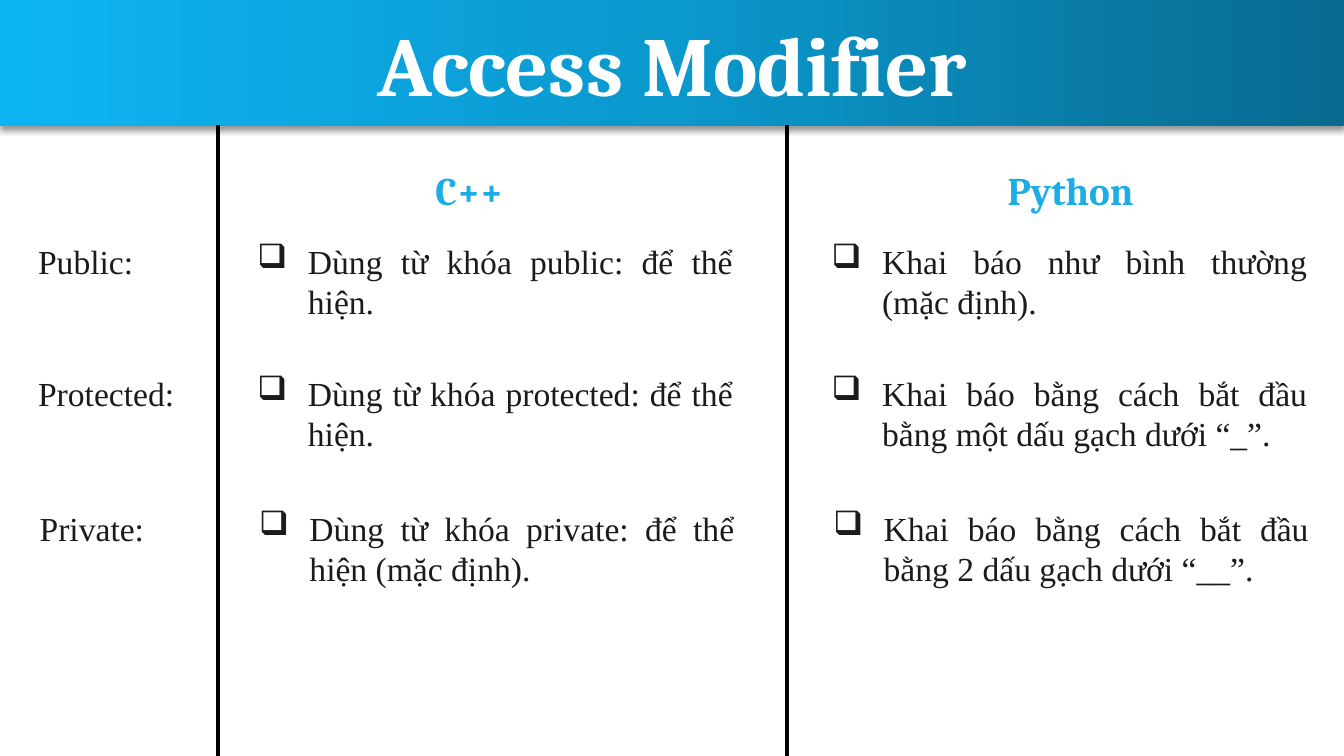
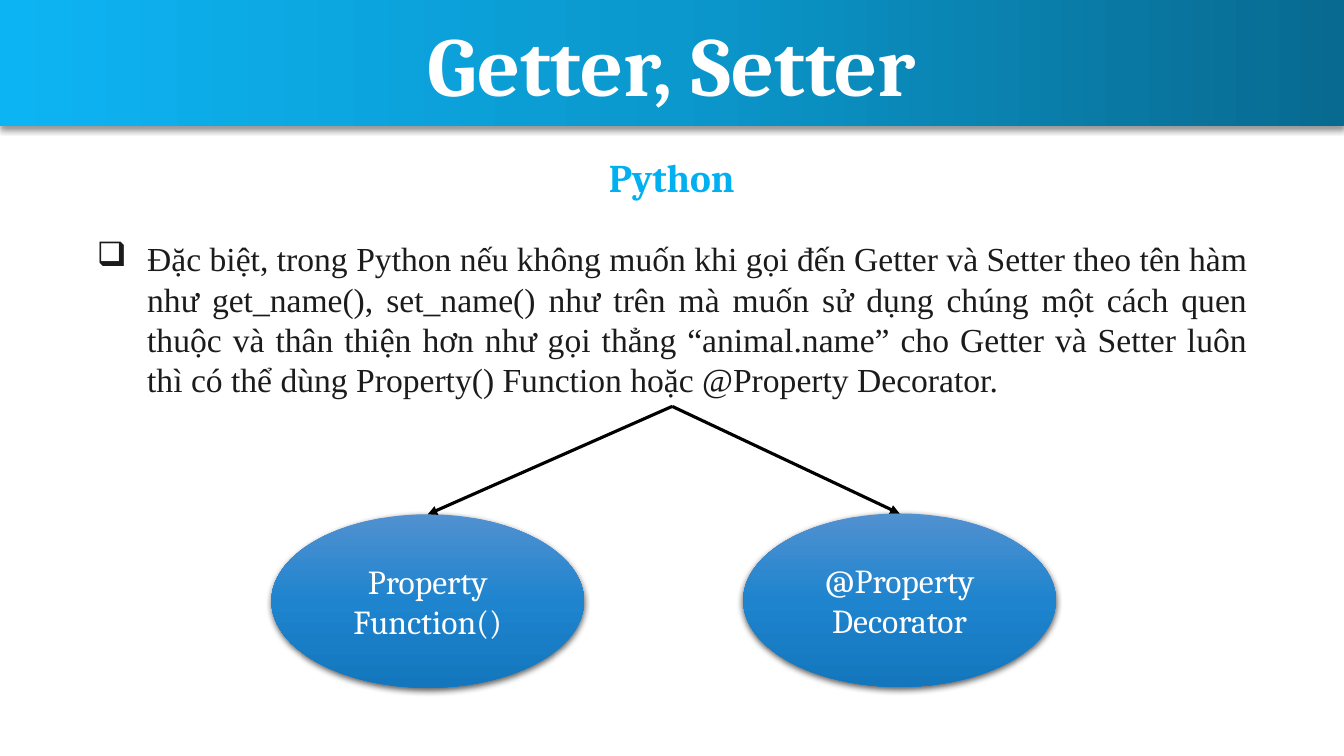
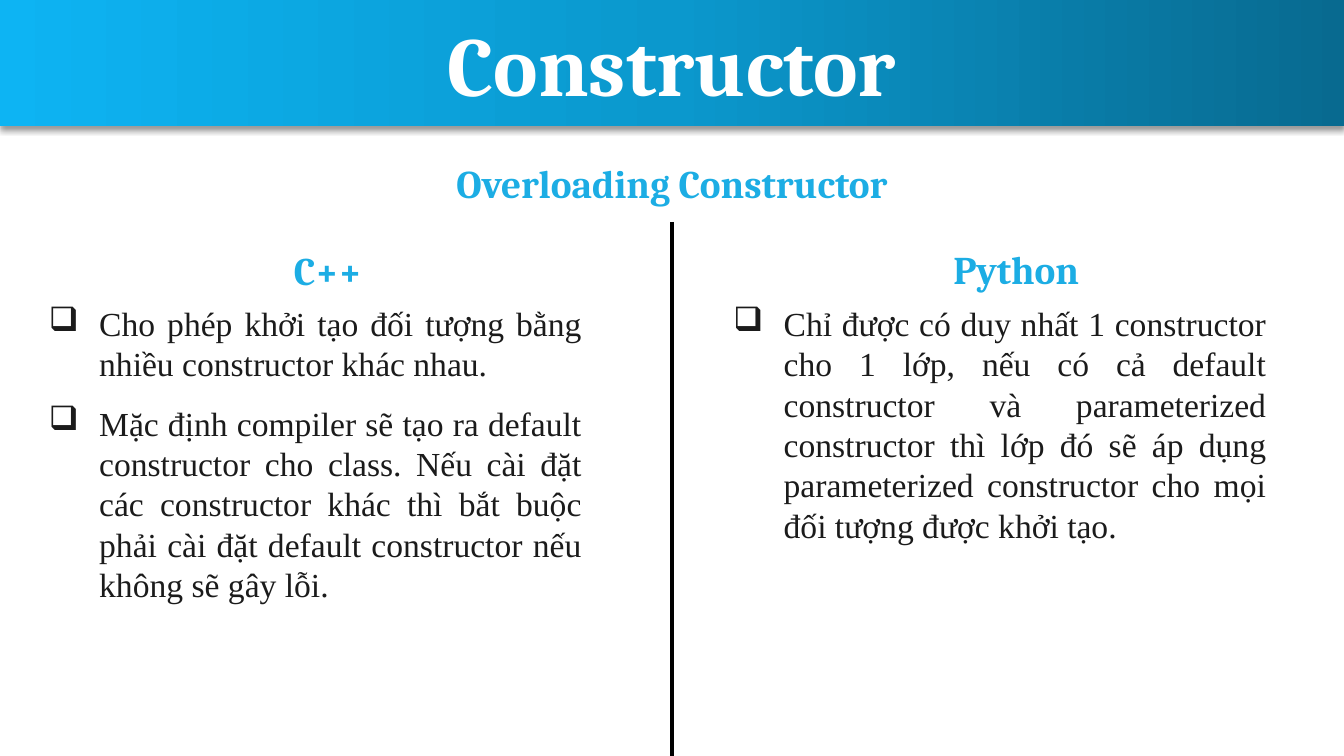
import copy

import pptx
import pptx.dml.color
import pptx.enum.shapes
import pptx.enum.text
import pptx.oxml
import pptx.oxml.ns
import pptx.util

Cm = pptx.util.Cm
Pt = pptx.util.Pt
color = pptx.dml.color.RGBColor.from_string
shape_kind = pptx.enum.shapes.MSO_SHAPE
straight = pptx.enum.shapes.MSO_CONNECTOR.STRAIGHT
align = pptx.enum.text.PP_ALIGN
qn = pptx.oxml.ns.qn

SLIDE_WIDTH, SLIDE_HEIGHT = 33.87, 19.05
BAND_HEIGHT = 3.18
HEADING_HEIGHT = 1.45
BAND_STOPS = ["086A90", "0B98CD", "0DB4F3"]
OPTION_STOPS = ["5191D0", "1E84CE", "1477BE"]
STYLES = {
    "title": ("Cambria", 60, "FFFFFF", True, align.CENTER),
    "heading": ("Cambria", 28, "1CADE4", True, align.CENTER),
    "bright heading": ("Cambria", 28, "00B0F0", True, align.CENTER),
    "option": ("Cambria", 24, "FFFFFF", False, align.CENTER),
    "label": ("Times New Roman", 24, "1B1B1B", False, align.LEFT),
    "bullet": ("Times New Roman", 24, "1B1B1B", False, align.JUSTIFY),
}


def add_text(slide, style, text, left, top, width, height, holder=None):
    font_name, size, hue, bold, alignment = STYLES[style]
    if holder is None:
        holder = slide.shapes.add_textbox(Cm(left), Cm(top), Cm(width), Cm(height))
        holder.text_frame.auto_size = pptx.enum.text.MSO_AUTO_SIZE.SHAPE_TO_FIT_TEXT
    holder.text_frame.word_wrap = True
    holder.text_frame.text = text
    for paragraph in holder.text_frame.paragraphs:
        paragraph.alignment = alignment
        if style == "bullet":
            properties = paragraph._p.get_or_add_pPr()
            properties.set("marL", str(Cm(1.27)))
            properties.set("indent", str(-Cm(1.27)))
            for tag, settings in (
                ("a:buFont", {"typeface": "Wingdings", "pitchFamily": "2", "charset": "2"}),
                ("a:buChar", {"char": "q"}),
            ):
                properties.append(properties.makeelement(qn(tag), settings))
        for run in paragraph.runs:
            run.font.name = font_name
            run.font.size = Pt(size)
            run.font.bold = bold
            run.font.color.rgb = color(hue)
    return holder


def add_glossy_shape(slide, kind, left, top, width, height, stops, angle, opacity, blur, distance):
    shape = slide.shapes.add_shape(kind, Cm(left), Cm(top), Cm(width), Cm(height))
    shape.line.fill.background()
    shape.fill.gradient()
    shape.fill.gradient_angle = angle
    properties = shape._element.spPr
    stop_list = properties.find(".//" + qn("a:gsLst"))
    stop_list.append(copy.deepcopy(stop_list[0]))
    for stop, position, hue in zip(shape.fill.gradient_stops, (0, 0.5, 1), stops):
        stop.position = position
        stop.color.rgb = color(hue)
    shape.shadow.inherit = False
    properties.find(qn("a:effectLst")).append(pptx.oxml.parse_xml(
        f'<a:outerShdw {pptx.oxml.ns.nsdecls("a")} blurRad="{Pt(blur)}" dist="{Pt(distance)}" '
        f'dir="5400000" algn="ctr" rotWithShape="0"><a:srgbClr val="000000">'
        f'<a:alpha val="{opacity * 1000}"/></a:srgbClr></a:outerShdw>'))
    return shape


deck = pptx.Presentation()
deck.slide_width = Cm(SLIDE_WIDTH)
deck.slide_height = Cm(SLIDE_HEIGHT)

slides = []
for title in ("Access Modifier", "Getter, Setter", "Constructor"):
    slide = deck.slides.add_slide(deck.slide_layouts[6])
    add_glossy_shape(slide, shape_kind.RECTANGLE, 0, 0, SLIDE_WIDTH, BAND_HEIGHT,
                     BAND_STOPS, 180, 40, 4, 3)
    add_text(slide, "title", title, 0, 0.18, SLIDE_WIDTH, 2.82)
    slides.append(slide)
access, accessors, constructor = slides

dividers = []
for slide, x, top in ((access, 5.49, 3.15), (access, 19.84, 3.15), (constructor, 16.94, 5.59)):
    dividers.append(slide.shapes.add_connector(straight, Cm(x), Cm(top), Cm(x), Cm(SLIDE_HEIGHT)))

for slide, style, heading, left, top, width in (
    (access, "heading", "C++", 9.62, 4.06, 4.42),
    (access, "heading", "Python", 24.77, 4.06, 4.42),
    (accessors, "bright heading", "Python", 10.95, 3.74, 11.96),
    (constructor, "heading", "Overloading Constructor", 9.91, 3.89, 14.05),
    (constructor, "heading", "C++", 6.05, 6.07, 4.42),
    (constructor, "heading", "Python", 23.4, 6.05, 4.42),
):
    add_text(slide, style, heading, left, top, width, HEADING_HEIGHT)

for top, shift, modifier, cpp_rule, python_rule in (
    (5.94, 0, "Public:", "Dùng từ khóa public: để thể hiện.",
     "Khai báo như bình thường (mặc định)."),
    (9.27, 0, "Protected:", "Dùng từ khóa protected: để thể hiện.",
     "Khai báo bằng cách bắt đầu bằng một dấu gạch dưới “_”."),
    (12.67, 0.04, "Private:", "Dùng từ khóa private: để thể hiện (mặc định).",
     "Khai báo bằng cách bắt đầu bằng 2 dấu gạch dưới “__”."),
):
    add_text(access, "label", modifier, 0.71 + shift, top, 4.39, 1.28)
    add_text(access, "bullet", cpp_rule, 6.24 + shift, top, 12.48, 2.31)
    add_text(access, "bullet", python_rule, 20.71 + shift, top, 12.48, 2.31)

explanation = add_text(
    accessors, "bullet",
    "Đặc biệt, trong Python nếu không muốn khi gọi đến Getter và Setter theo tên hàm như "
    "get_name(), set_name() như trên mà muốn sử dụng chúng một cách quen thuộc và thân thiện "
    "hơn như gọi thẳng “animal.name” cho Getter và Setter luôn thì có thể dùng Property() "
    "Function hoặc @Property Decorator.",
    2.19, 5.88, 29.5, 4.36)

arrows = []
for option, left, top in (("Property\nFunction()", 6.84, 12.96),
                          ("@Property\nDecorator", 18.73, 12.94)):
    box = (left, top, 7.88, 4.37)
    ellipse = add_glossy_shape(accessors, shape_kind.OVAL, *box, OPTION_STOPS, 270, 63, 4.5, 1.5)
    add_text(accessors, "option", option, *box, holder=ellipse)
    arrow = accessors.shapes.add_connector(straight, 0, 0, 0, 0)
    arrow.begin_connect(explanation, 2)
    arrow.end_connect(ellipse, 0)
    arrows.append(arrow)

for text, left, top, height in (
    ("Cho phép khởi tạo đối tượng bằng nhiều constructor khác nhau.", 0.98, 7.51, 2.31),
    ("Mặc định compiler sẽ tạo ra default constructor cho class. Nếu cài đặt các constructor "
     "khác thì bắt buộc phải cài đặt default constructor nếu không sẽ gây lỗi.",
     0.98, 10.02, 5.38),
    ("Chỉ được có duy nhất 1 constructor cho 1 lớp, nếu có cả default constructor và "
     "parameterized constructor thì lớp đó sẽ áp dụng parameterized constructor cho mọi đối "
     "tượng được khởi tạo.", 18.23, 7.51, 6.4),
):
    add_text(constructor, "bullet", text, left, top, 13.93, height)

for connector in dividers + arrows:
    connector.line.color.rgb = color("000000")
    connector.line.width = Pt(2.25 if connector in arrows else 3)
    properties = connector._element.spPr
    if connector in arrows:
        outline = connector.line._get_or_add_ln()
        outline.append(outline.makeelement(qn("a:tailEnd"), {"type": "triangle"}))
    properties.append(properties.makeelement(qn("a:effectLst"), {}))

deck.save("out.pptx")
